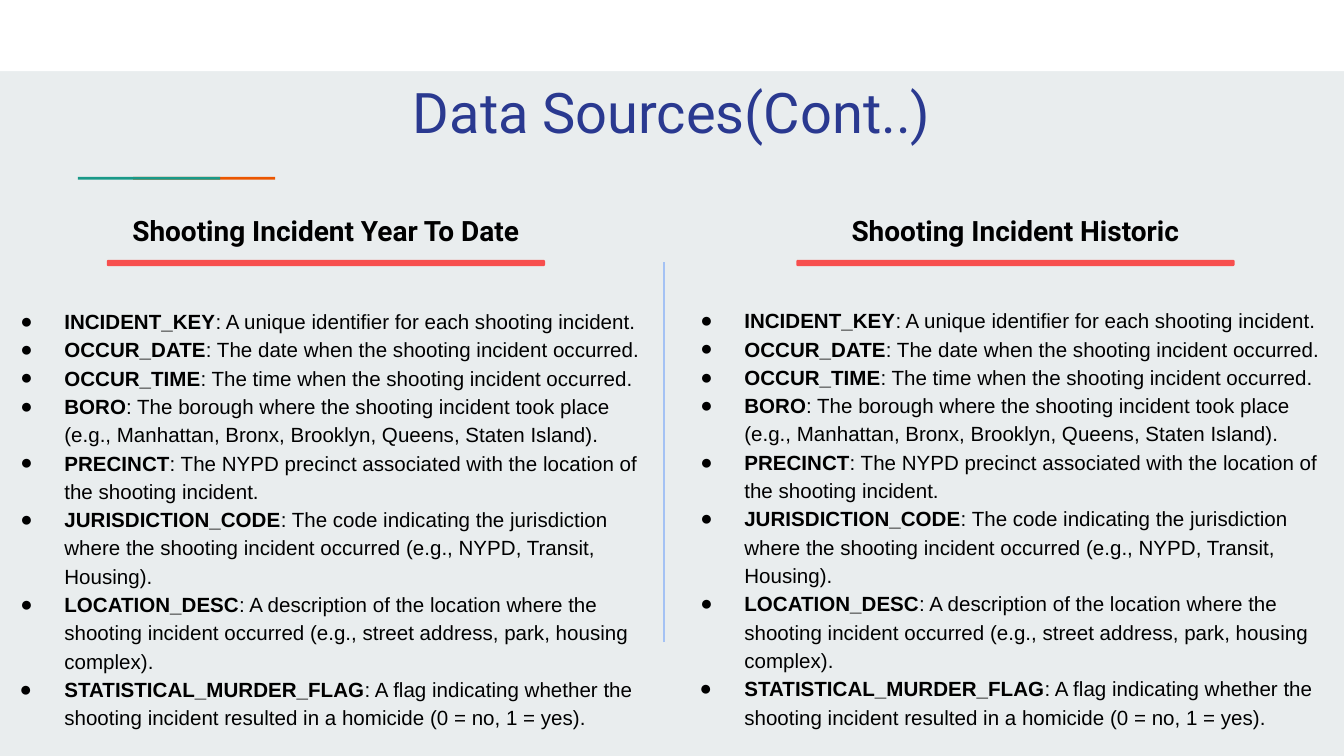
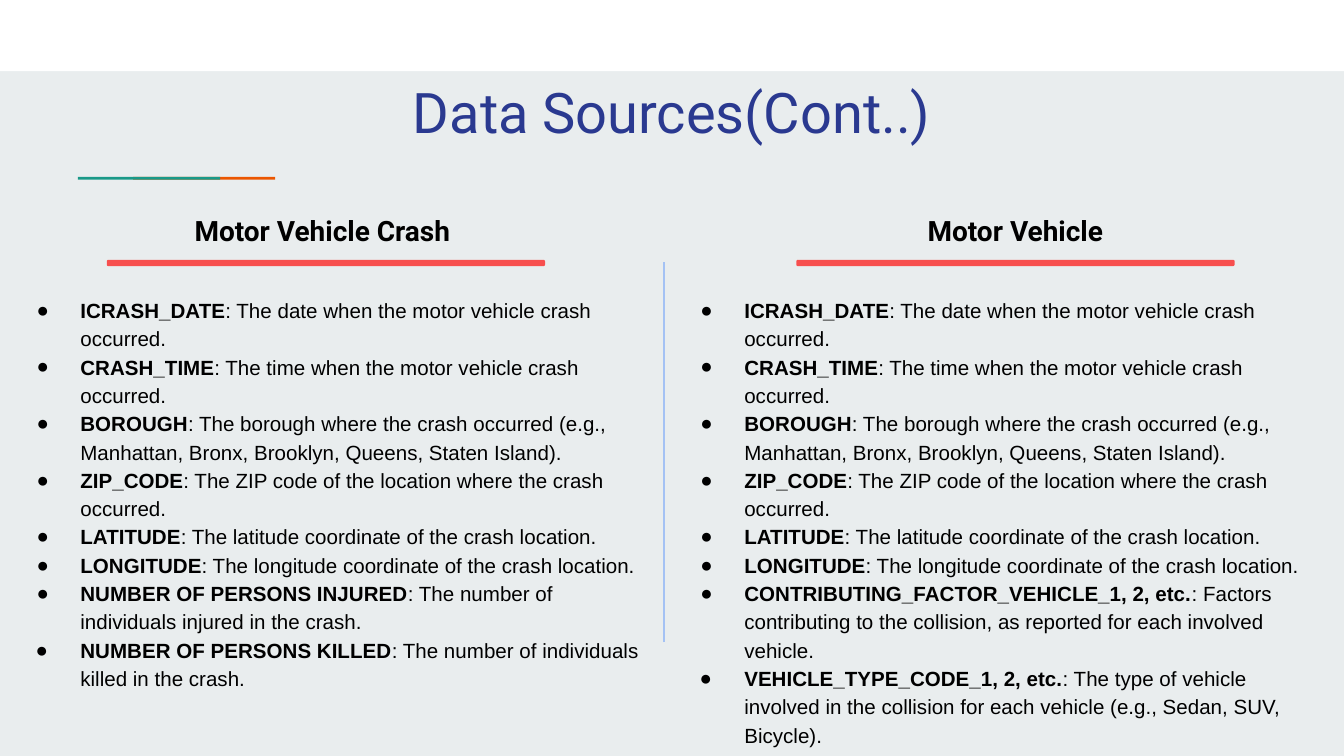
import pptx
import pptx.util
import pptx.dml.color
import pptx.enum.shapes
import pptx.enum.text
import pptx.oxml.ns
from lxml import etree

Pt = pptx.util.Pt
RGBColor = pptx.dml.color.RGBColor
MSO_SHAPE = pptx.enum.shapes.MSO_SHAPE
MSO_ANCHOR = pptx.enum.text.MSO_ANCHOR
MSO_AUTO_SIZE = pptx.enum.text.MSO_AUTO_SIZE
PP_ALIGN = pptx.enum.text.PP_ALIGN
qn = pptx.oxml.ns.qn

# Colours
GROUND = RGBColor(0xE9, 0xED, 0xEE)
WHITE = RGBColor(0xFF, 0xFF, 0xFF)
BLACK = RGBColor(0x00, 0x00, 0x00)
NAVY = RGBColor(0x2A, 0x39, 0x90)
ORANGE = RGBColor(0xEB, 0x56, 0x00)
TEAL = RGBColor(0x1A, 0x99, 0x88)
RED = RGBColor(0xF7, 0x4F, 0x4E)
PALE_BLUE = RGBColor(0xA4, 0xC2, 0xF4)

# Text formats
TITLE = {"name": "Roboto", "size": Pt(30), "bold": False, "color": NAVY}
HEADING = {"name": "Roboto", "size": Pt(15), "bold": True, "color": BLACK}
FIELD = {"name": "Arial", "size": Pt(11), "bold": True, "color": BLACK}
MEANING = {**FIELD, "bold": False}

# Slide size and the left edges of the two column headings
WIDTH, HEIGHT = 720, 405
COLUMN_LEFTS = (51.1, 420.5)
DIVIDER_X = 355.7

SHOOTING_FIELDS = [
    ("INCIDENT_KEY", "A unique identifier for each shooting incident."),
    ("OCCUR_DATE", "The date when the shooting incident occurred."),
    ("OCCUR_TIME", "The time when the shooting incident occurred."),
    ("BORO", "The borough where the shooting incident took place "
             "(e.g., Manhattan, Bronx, Brooklyn, Queens, Staten Island)."),
    ("PRECINCT", "The NYPD precinct associated with the location of the shooting incident."),
    ("JURISDICTION_CODE", "The code indicating the jurisdiction where the shooting "
                          "incident occurred (e.g., NYPD, Transit, Housing)."),
    ("LOCATION_DESC", "A description of the location where the shooting incident "
                      "occurred (e.g., street address, park, housing complex)."),
    ("STATISTICAL_MURDER_FLAG", "A flag indicating whether the shooting incident "
                                "resulted in a homicide (0 = no, 1 = yes)."),
]
CRASH_FIELDS = [
    ("ICRASH_DATE", "The date when the motor vehicle crash occurred."),
    ("CRASH_TIME", "The time when the motor vehicle crash occurred."),
    ("BOROUGH", "The borough where the crash occurred "
                "(e.g., Manhattan, Bronx, Brooklyn, Queens, Staten Island)."),
    ("ZIP_CODE", "The ZIP code of the location where the crash occurred."),
    ("LATITUDE", "The latitude coordinate of the crash location."),
    ("LONGITUDE", "The longitude coordinate of the crash location."),
]
PERSON_FIELDS = [
    ("NUMBER OF PERSONS INJURED", "The number of individuals injured in the crash."),
    ("NUMBER OF PERSONS KILLED", "The number of individuals killed in the crash."),
]
VEHICLE_FIELDS = [
    ("CONTRIBUTING_FACTOR_VEHICLE_1, 2, etc.",
     "Factors contributing to the collision, as reported for each involved vehicle."),
    ("VEHICLE_TYPE_CODE_1, 2, etc.",
     "The type of vehicle involved in the collision for each vehicle (e.g., Sedan, SUV, Bicycle)."),
]

# Each slide: two columns of (heading, fields, list box)
SLIDES = [
    [("Shooting Incident Year To Date", SHOOTING_FIELDS, (-8.6, 156.4, 364.3, 242.6)),
     ("Shooting Incident Historic", SHOOTING_FIELDS, (355.7, 156, 364.3, 242.6))],
    [("Motor Vehicle Crash ", CRASH_FIELDS + PERSON_FIELDS, (0, 150.5, 355.7, 227.5)),
     ("Motor Vehicle", CRASH_FIELDS + VEHICLE_FIELDS, (355.7, 150.5, 355.7, 257.8))],
]


def add_run(p, text, fmt):
    r = p.add_run()
    r.text = text
    for key, value in fmt.items():
        if key == "color":
            r.font.color.rgb = value
        else:
            setattr(r.font, key, value)


def set_frame(tf, inset_x, inset_y, anchor, auto_size):
    frame = {"word_wrap": True, "auto_size": auto_size, "vertical_anchor": anchor,
             "margin_left": Pt(inset_x), "margin_right": Pt(inset_x),
             "margin_top": Pt(inset_y), "margin_bottom": Pt(inset_y)}
    for key, value in frame.items():
        setattr(tf, key, value)


def add_block(s, box, color, kind=MSO_SHAPE.RECTANGLE, outlined=False):
    sp = s.shapes.add_shape(kind, *map(Pt, box))
    sp.shadow.inherit = False
    sp.fill.solid()
    sp.fill.fore_color.rgb = color
    if outlined:
        sp.line.color.rgb = color
        sp.line.width = Pt(0.75)
    else:
        sp.line.fill.background()
    return sp


def add_header(s, left, top, width, text):
    """White band, slide title and two-colour accent line."""
    add_block(s, (left, top, width, 38.2), WHITE)
    for offset, color in ((71.3, ORANGE), (41.8, TEAL)):
        add_block(s, (left + offset, top + 94.7, 76.2, 1.5), color)
    sp = s.shapes.title
    box = {"left": left + 24.5, "top": top + 38.2, "width": width - 49, "height": 47.5}
    for key, value in box.items():
        setattr(sp, key, Pt(value))
    set_frame(sp.text_frame, 7.2, 7.2, MSO_ANCHOR.TOP, MSO_AUTO_SIZE.NONE)
    p = sp.text_frame.paragraphs[0]
    p.alignment = PP_ALIGN.CENTER
    p.line_spacing = 0.9
    add_run(p, text, TITLE)


def add_heading(s, left, top, width, text):
    """Column heading with a red rule below it."""
    sp = s.shapes.add_textbox(Pt(left), Pt(top), Pt(width), Pt(26.6))
    set_frame(sp.text_frame, 5, 2.9, MSO_ANCHOR.TOP, MSO_AUTO_SIZE.NONE)
    p = sp.text_frame.paragraphs[0]
    p.alignment = PP_ALIGN.CENTER
    add_run(p, text, HEADING)
    rule = add_block(s, (left + 6.5, top + 28, width - 13, 2.6), RED,
                     MSO_SHAPE.ROUNDED_RECTANGLE, outlined=True)
    rule.adjustments[0] = 0.17


def add_divider(s, x, top, bottom):
    line = s.shapes.add_connector(pptx.enum.shapes.MSO_CONNECTOR.STRAIGHT,
                                  Pt(x), Pt(bottom), Pt(x), Pt(top))
    line.line.color.rgb = PALE_BLUE
    line.line.width = Pt(0.75)
    etree.SubElement(line._element.spPr, qn("a:effectLst"))


def add_bullet(p, indent):
    pPr = p._p.get_or_add_pPr()
    pPr.set("marL", str(Pt(36)))
    pPr.set("indent", str(-Pt(indent)))
    color = etree.SubElement(pPr, qn("a:buClr"))
    etree.SubElement(color, qn("a:srgbClr"), val=str(BLACK))
    etree.SubElement(pPr, qn("a:buFont"), typeface="Arial")
    etree.SubElement(pPr, qn("a:buChar"), char="●")


def add_field_list(s, box, fields):
    """Bulleted list of field names and their meanings."""
    tf = s.shapes.add_textbox(*map(Pt, box)).text_frame
    set_frame(tf, 7.2, 7.2, MSO_ANCHOR.TOP, MSO_AUTO_SIZE.SHAPE_TO_FIT_TEXT)
    for i, (name, meaning) in enumerate(fields):
        p = tf.add_paragraph() if i else tf.paragraphs[0]
        add_bullet(p, 24 if i == len(fields) - 1 else 23.5)
        p.line_spacing = 1.15
        add_run(p, name, FIELD)
        add_run(p, f": {meaning}", MEANING)


def add_sources_slide(prs, columns):
    s = prs.slides.add_slide(prs.slide_layouts[5])
    add_header(s, 0, 0, WIDTH, "Data Sources(Cont..)")
    for left, (heading, _, _) in zip(COLUMN_LEFTS, columns):
        add_heading(s, left, 111.6, 247, heading)
    add_divider(s, DIVIDER_X, 140.4, 344.2)
    for _, fields, box in columns:
        add_field_list(s, box, fields)


def main():
    prs = pptx.Presentation()
    prs.slide_width, prs.slide_height = Pt(WIDTH), Pt(HEIGHT)
    fill = prs.slide_master.background.fill
    fill.solid()
    fill.fore_color.rgb = GROUND
    for columns in SLIDES:
        add_sources_slide(prs, columns)
    prs.save("out.pptx")


if __name__ == "__main__":
    main()
